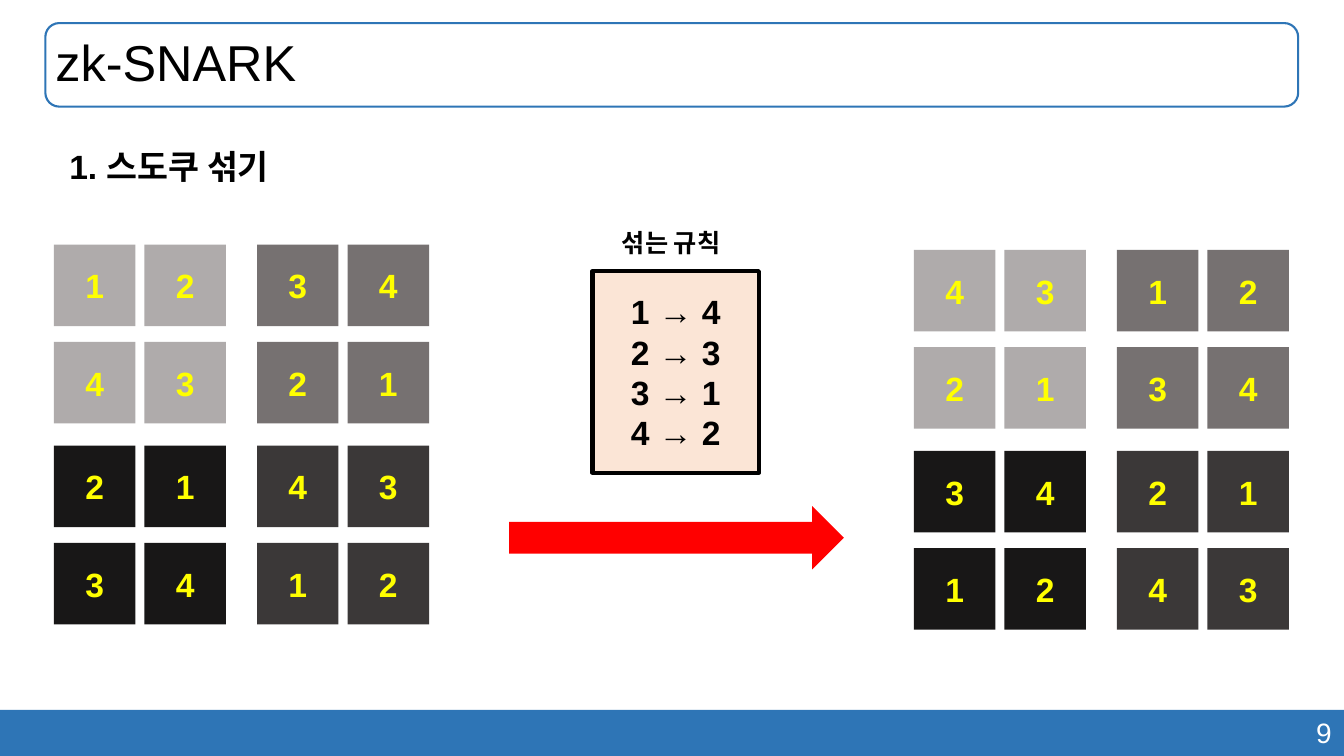
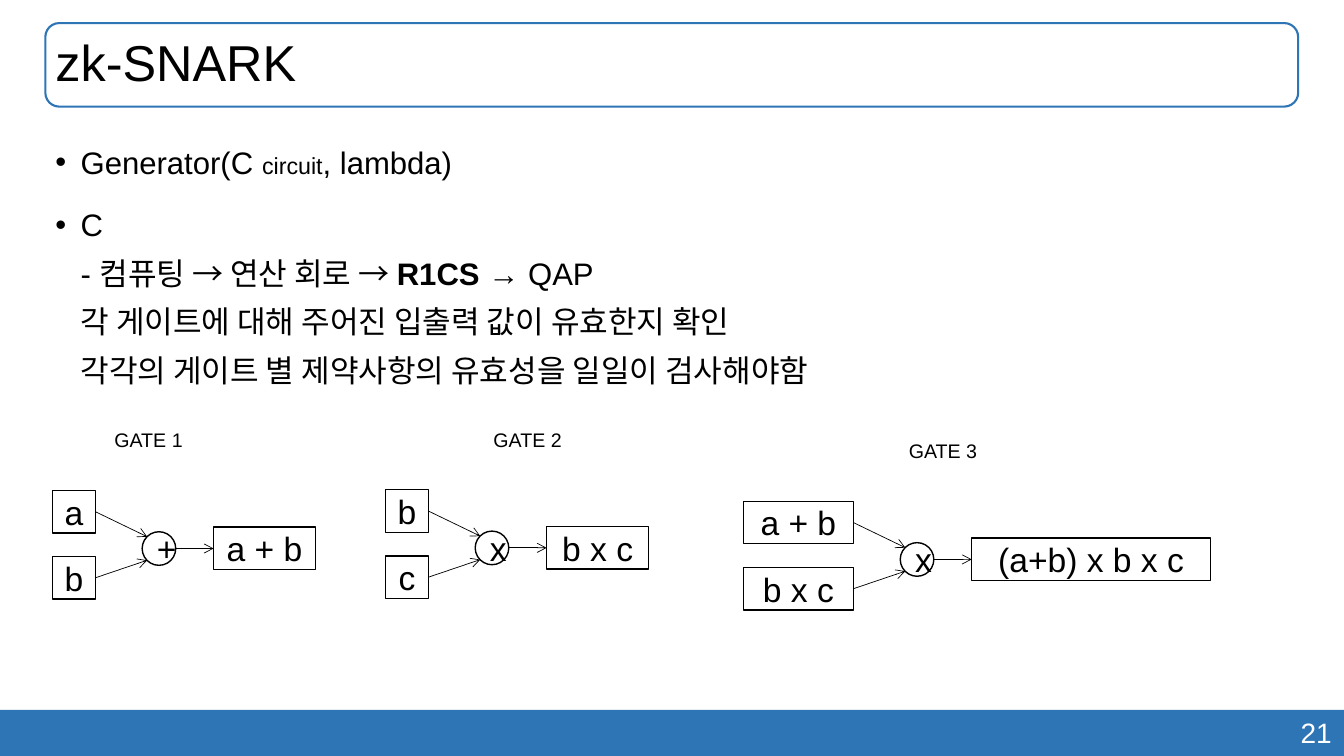
from lxml.etree import SubElement
from pptx import Presentation
from pptx.dml.color import RGBColor
from pptx.enum.shapes import MSO_CONNECTOR as Line, MSO_SHAPE as Shape
from pptx.enum.text import MSO_ANCHOR as Anchor, MSO_AUTO_SIZE as Fit, PP_ALIGN as Align
from pptx.oxml.ns import qn
from pptx.util import Inches, Pt

COLORS = {
    "band": "2E75B6",
    "white": "FFFFFF",
    "ink": "000000",
    "digit": "FFFF00",
    "arrow": "FF0000",
    "rule": "FBE5D6",
    "blocks": [["AFABAB", "767171"], ["181717", "3B3838"]],
}
FONT = "Arial"
COLS, ROWS = 64, 36
WIDTH, HEIGHT = Inches(13.33), Inches(7.5)
TITLE_BOX = (2.16, 1.1, 59.66, 3.98)


def col(n):
    return round(n * WIDTH / COLS)


def row(n):
    return round(n * HEIGHT / ROWS)


def rgb(value):
    return RGBColor.from_string(COLORS.get(value, value))


class Deck:
    def __init__(self):
        self.prs = Presentation()
        self.prs.slide_width, self.prs.slide_height = WIDTH, HEIGHT
        self.slide = None

    def start(self, layout, title, number):
        self.slide = self.prs.slides.add_slide(self.prs.slide_layouts[layout])
        self.shape(Shape.RECTANGLE, (0, 33.8, COLS, 2.2), fill="band")
        self.label((45.17, 33.84, 18.72, 2.11), number, 20, color="white",
                   align=Align.RIGHT, wrap=True)
        self.shape(Shape.ROUNDED_RECTANGLE, TITLE_BOX, line="band", weight=1.5)
        tf = self.place(self.slide.shapes.title, TITLE_BOX, Anchor.MIDDLE)
        p = tf.paragraphs[0]
        p.alignment, p.line_spacing = Align.LEFT, 0.9
        self.run(p, title, 36)

    def place(self, sp, box, anchor):
        x, y, w, h = box
        sp.left, sp.top, sp.width, sp.height = col(x), row(y), col(w), row(h)
        tf = sp.text_frame
        tf.auto_size, tf.vertical_anchor = Fit.NONE, anchor
        return tf

    def run(self, p, text, size, color="ink", bold=False):
        r = p.add_run()
        r.text = text
        f = r.font
        f.name, f.size, f.bold = FONT, Pt(size), bold
        f.color.rgb = rgb(color)

    def paragraphs(self, tf, lines, size, color, bold, align):
        for i, text in enumerate(lines):
            p = tf.add_paragraph() if i else tf.paragraphs[0]
            p.alignment = align
            self.run(p, text, size, color, bold)

    def shape(self, kind, box, lines=(), fill=None, line=None, weight=1,
              color="ink", bold=False):
        x, y, w, h = box
        sp = self.slide.shapes.add_shape(kind, col(x), row(y), col(w), row(h))
        sp.shadow.inherit = False
        if fill:
            sp.fill.solid()
            sp.fill.fore_color.rgb = rgb(fill)
        else:
            sp.fill.background()
        if line:
            sp.line.color.rgb = rgb(line)
            sp.line.width = Pt(weight)
        else:
            sp.line.fill.background()
        sp.text_frame.vertical_anchor = Anchor.MIDDLE
        self.paragraphs(sp.text_frame, lines, 24, color, bold, Align.CENTER)
        return sp

    def label(self, box, text, size, color="ink", bold=False, align=Align.LEFT, wrap=False):
        x, y, w, h = box
        sp = self.slide.shapes.add_textbox(col(x), row(y), col(w), row(h))
        sp.text_frame.word_wrap = wrap
        self.paragraphs(sp.text_frame, [text], size, color, bold, align)

    def bullets(self, box, items):
        tf = self.place(self.slide.placeholders[1], box, Anchor.TOP)
        for i, lines in enumerate(items):
            p = tf.add_paragraph() if i else tf.paragraphs[0]
            pPr = p._p.get_or_add_pPr()
            pPr.set("marL", str(Inches(0.25)))
            pPr.set("indent", str(-Inches(0.25)))
            p.line_spacing, p.space_before = 1.3, Pt(10 if i else 0)
            for j, runs in enumerate(lines):
                if j:
                    p.add_line_break()
                for text, size, bold in runs:
                    self.run(p, text, size, bold=bold)

    def arrow(self, start, end, source=None, target=None):
        cx = self.slide.shapes.add_connector(
            Line.STRAIGHT, col(start[0]), row(start[1]), col(end[0]), row(end[1]))
        if source is not None:
            cx.begin_connect(source, 3)
        if target is not None:
            cx.end_connect(target, 1)
        cx.line.color.rgb = rgb("ink")
        cx.line.width = Pt(0.5)
        spPr = cx._element.spPr
        SubElement(spPr.get_or_add_ln(), qn("a:tailEnd"), type="arrow")
        SubElement(spPr, qn("a:effectLst"))

    def sudoku(self, x, y, rows):
        for i, digits in enumerate(rows):
            for j, digit in enumerate(digits):
                box = (x + j // 2 * 9.67 + j % 2 * 4.31,
                       y + i // 2 * 9.57 + i % 2 * 4.63, 3.88, 3.88)
                self.shape(Shape.RECTANGLE, box, [digit], color="digit", bold=True,
                           fill=COLORS["blocks"][i // 2][j // 2])

    def gate(self, name, x, y, name_dx, inputs, sign, output, in_w, out_w):
        box_h, gap, size = 2.03, 3.15, 1.6
        self.label((x + name_dx, y - 3.2, 4.27, 1.63), name, 14, align=Align.CENTER)
        node_x, node_y = x + in_w + 2.23, y + 1.97
        corner = 0.15 * size
        self.shape(Shape.OVAL, (node_x, node_y, size, size), [sign], line="ink")
        ends = (node_y + corner, node_y + size - corner)
        for i, (text, end_y) in enumerate(zip(inputs, ends)):
            top = y + i * gap
            sp = self.shape(Shape.RECTANGLE, (x, top, in_w, box_h), [text], line="ink")
            self.arrow((x + in_w, top + box_h / 2), (node_x + corner, end_y), source=sp)
        right, mid = node_x + size, node_y + size / 2
        out = (right + 1.8, mid - box_h / 2, out_w, box_h)
        sp = self.shape(Shape.RECTANGLE, out, [output], line="ink")
        self.arrow((right, mid), (right + 1.8, mid), target=sp)


def shuffle_slide(deck):
    deck.start(5, "zk-SNARK", "9")
    deck.label((2.83, 6.72, 11.28, 2.4), "1. 스도쿠 섞기", 24, bold=True)
    deck.sudoku(2.57, 11.65, ["1234", "4321", "2143", "3412"])
    deck.sudoku(43.52, 11.9, ["4312", "2134", "3421", "1243"])
    deck.shape(Shape.RIGHT_ARROW, (24.24, 24.1, 15.94, 3.02), fill="arrow")
    deck.shape(Shape.RECTANGLE, (28.22, 12.91, 7.92, 9.6),
               ["1 → 4", "2 → 3", "3 → 1", "4 → 2"],
               fill="rule", line="ink", weight=3, bold=True)
    deck.label((29.14, 10.61, 6.14, 1.92), "섞는 규칙", 18, bold=True)


def gates_slide(deck):
    deck.start(1, "zk-SNARK", "21")
    size = 22.2
    deck.bullets((2.16, 6.05, 59.66, 13.01), [
        [[("Generator(C ", size, False), ("circuit", 16.6, False), (", lambda)", size, False)]],
        [
            [("C", size, False)],
            [("- 컴퓨팅 → 연산 회로 → ", size, False), ("R1CS ", size, True),
             ("→ QAP", size, False)],
            [("각 게이트에 대해 주어진 입출력 값이 유효한지 확인", size, False)],
            [("각각의 게이트 별 제약사항의 유효성을 일일이 검사해야함", size, False)],
        ],
    ])
    deck.gate("GATE 1", 2.5, 23.35, 2.44, ("a", "b"), "+", "a + b", 2.04, 4.86)
    deck.gate("GATE 2", 18.36, 23.32, 4.63, ("b", "c"), "x", "b x c", 2.04, 4.86)
    deck.gate("GATE 3", 35.4, 23.87, 7.37, ("a + b", "b x c"), "x", "(a+b) x b x c", 5.24, 11.38)


def main():
    deck = Deck()
    shuffle_slide(deck)
    gates_slide(deck)
    deck.prs.save("out.pptx")


if __name__ == "__main__":
    main()
